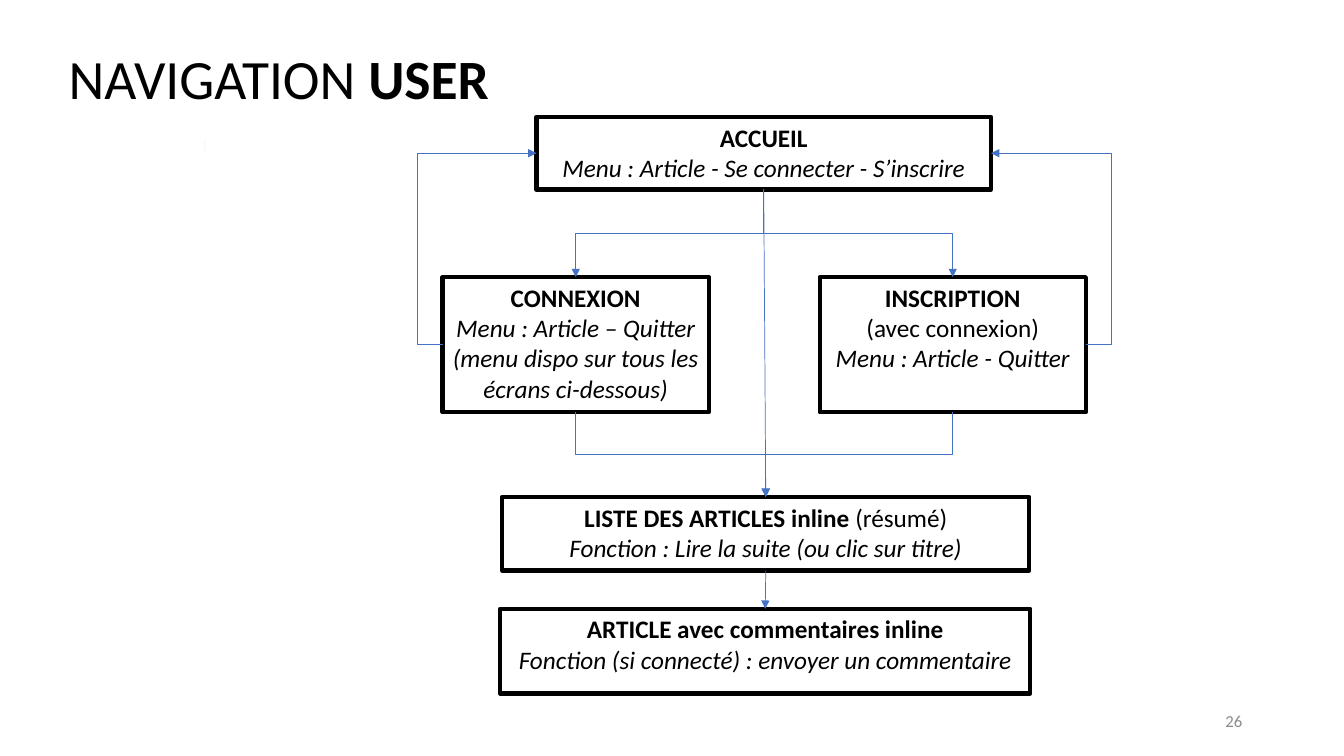
from lxml import etree
from pptx import Presentation
from pptx.dml.color import RGBColor
from pptx.enum.shapes import MSO_CONNECTOR, MSO_SHAPE
from pptx.enum.text import MSO_ANCHOR, MSO_AUTO_SIZE, PP_ALIGN
from pptx.oxml.ns import qn
from pptx.util import Inches, Pt

FONT = "Calibri"
BLACK, BLUE, GREY, PALE = "000000", "4472C4", "8C8C8C", "F8F9FA"
BOX_MARGIN = 0.08

# Box name: (left, top, width, height), lines of (text, style) runs
BOXES = {
    "liste": ((4.98, 4.93, 5.23, 0.73), [
        [("LISTE DES ARTICLES inline ", "bold"), ("(résumé)", "")],
        [("Fonction : Lire la suite (ou clic sur titre)", "italic")]]),
    "connexion": ((4.39, 2.75, 2.64, 1.34), [
        [("CONNEXION", "bold")],
        [("Menu : Article – Quitter", "italic")],
        [("(menu dispo sur tous les écrans ci-dessous)", "italic")]]),
    "accueil": ((5.32, 1.16, 4.51, 0.72), [
        [("ACCUEIL", "bold")],
        [("Menu : Article - Se connecter - S’inscrire", "italic")]]),
    "article": ((4.96, 6.04, 5.26, 0.84), [
        [("ARTICLE avec commentaires inline", "bold")],
        [("Fonction (si connecté) : envoyer un commentaire", "italic")]]),
    "inscription": ((8.13, 2.75, 2.64, 1.34), [
        [("INSCRIPTION", "bold")],
        [("(avec connexion)", "")],
        [("Menu : Article - Quitter", "italic")]]),
}

# Start box, site, end box, site, rotation, flips, bend, end with arrowhead
TOP, LEFT, BOTTOM, RIGHT = range(4)
ELBOWS = [
    ("connexion", TOP, "accueil", BOTTOM, 90, "HV", 0.5, "headEnd"),
    ("inscription", TOP, "accueil", BOTTOM, 270, "V", 0.5, "headEnd"),
    ("liste", TOP, "connexion", BOTTOM, 270, "V", 0.5, "headEnd"),
    ("liste", TOP, "inscription", BOTTOM, 90, "HV", 0.5, "headEnd"),
    ("accueil", RIGHT, "inscription", RIGHT, 0, "", 1.27, "headEnd"),
    ("accueil", LEFT, "connexion", LEFT, 180, "V", 1.27, "headEnd"),
]
STRAIGHTS = [("accueil", "liste"), ("liste", "article")]


def color(value):
    return RGBColor.from_string(value)


def add_run(paragraph, text, size, style="", fill=BLACK):
    run = paragraph.add_run()
    run.text = text
    run.font.name = FONT
    run.font.size = Pt(size)
    run.font.bold = style == "bold"
    run.font.italic = style == "italic"
    run.font.color.rgb = color(fill)


def add_title(slide):
    title = slide.shapes.title
    title.left, title.top = Inches(0.55), Inches(0.3)
    title.width, title.height = Inches(4.43), Inches(1.02)
    text_frame = title.text_frame
    text_frame.auto_size = MSO_AUTO_SIZE.NONE
    text_frame.vertical_anchor = MSO_ANCHOR.MIDDLE
    paragraph = text_frame.paragraphs[0]
    paragraph.alignment = PP_ALIGN.CENTER
    paragraph.line_spacing = 0.9
    add_run(paragraph, "NAVIGATION ", 39.6)
    add_run(paragraph, "USER", 39.6, "bold")


def add_page_number(slide, number):
    box = slide.shapes.add_textbox(
        Inches(9.42), Inches(6.95), Inches(3), Inches(0.4))
    box.text_frame.word_wrap = True
    box.text_frame.vertical_anchor = MSO_ANCHOR.MIDDLE
    paragraph = box.text_frame.paragraphs[0]
    paragraph.alignment = PP_ALIGN.RIGHT
    add_run(paragraph, number, 12, fill=GREY)


def add_rectangle(slide, place):
    shape = slide.shapes.add_shape(MSO_SHAPE.RECTANGLE, *map(Inches, place))
    shape.shadow.inherit = False
    return shape


def add_mark(slide):
    mark = add_rectangle(slide, (2.02, 1.39, 0.02, 0.11))
    mark.fill.solid()
    mark.fill.fore_color.rgb = color(PALE)
    mark.line.fill.background()


def add_box(slide, place, lines):
    box = add_rectangle(slide, place)
    box.fill.background()
    box.line.color.rgb = color(BLACK)
    box.line.width = Pt(3)
    text_frame = box.text_frame
    text_frame.word_wrap = True
    text_frame.vertical_anchor = MSO_ANCHOR.TOP
    text_frame.margin_left = text_frame.margin_right = Inches(BOX_MARGIN)
    for index, runs in enumerate(lines):
        paragraph = (text_frame.add_paragraph() if index
                     else text_frame.paragraphs[0])
        paragraph.alignment = PP_ALIGN.CENTER
        for text, style in runs:
            add_run(paragraph, text, 18, style)
    return box


def add_link(slide, kind, start, start_site, end, end_site, arrow_end):
    connector = slide.shapes.add_connector(kind, 0, 0, 0, 0)
    connector.begin_connect(start, start_site)
    connector.end_connect(end, end_site)
    connector.line.color.rgb = color(BLUE)
    connector.line.width = Pt(0.5)
    properties = connector._element.spPr
    etree.SubElement(properties.find(qn("a:ln")), qn(f"a:{arrow_end}"),
                     type="triangle")
    etree.SubElement(properties, qn("a:effectLst"))
    return connector


def bend_link(connector, rotation, flips, bend):
    width, height = connector.width, connector.height
    # A quarter turn swaps the sides around the same centre
    if rotation % 180:
        shift = (width - height) // 2
        connector.left += shift
        connector.top -= shift
        connector.width, connector.height = height, width
    properties = connector._element.spPr
    transform = properties.find(qn("a:xfrm"))
    transform.set("rot", str(rotation * 60000))
    for axis in "HV":
        transform.set(f"flip{axis}", str(int(axis in flips)))
    adjustments = properties.find(qn("a:prstGeom")).find(qn("a:avLst"))
    etree.SubElement(adjustments, qn("a:gd"), name="adj1",
                     fmla=f"val {round(bend * 100000)}")


def main():
    presentation = Presentation()
    presentation.slide_width = Inches(13.33)
    presentation.slide_height = Inches(7.5)
    slide = presentation.slides.add_slide(presentation.slide_layouts[5])

    # Title and page furniture
    add_mark(slide)
    add_title(slide)
    add_page_number(slide, "26")

    # Screens
    boxes = {name: add_box(slide, place, lines)
             for name, (place, lines) in BOXES.items()}

    # Paths between screens
    for start, start_site, end, end_site, rotation, flips, bend, arrow in ELBOWS:
        connector = add_link(slide, MSO_CONNECTOR.ELBOW, boxes[start],
                             start_site, boxes[end], end_site, arrow)
        bend_link(connector, rotation, flips, bend)
    for start, end in STRAIGHTS:
        add_link(slide, MSO_CONNECTOR.STRAIGHT, boxes[start], BOTTOM,
                 boxes[end], TOP, "tailEnd")

    presentation.save("out.pptx")


if __name__ == "__main__":
    main()
